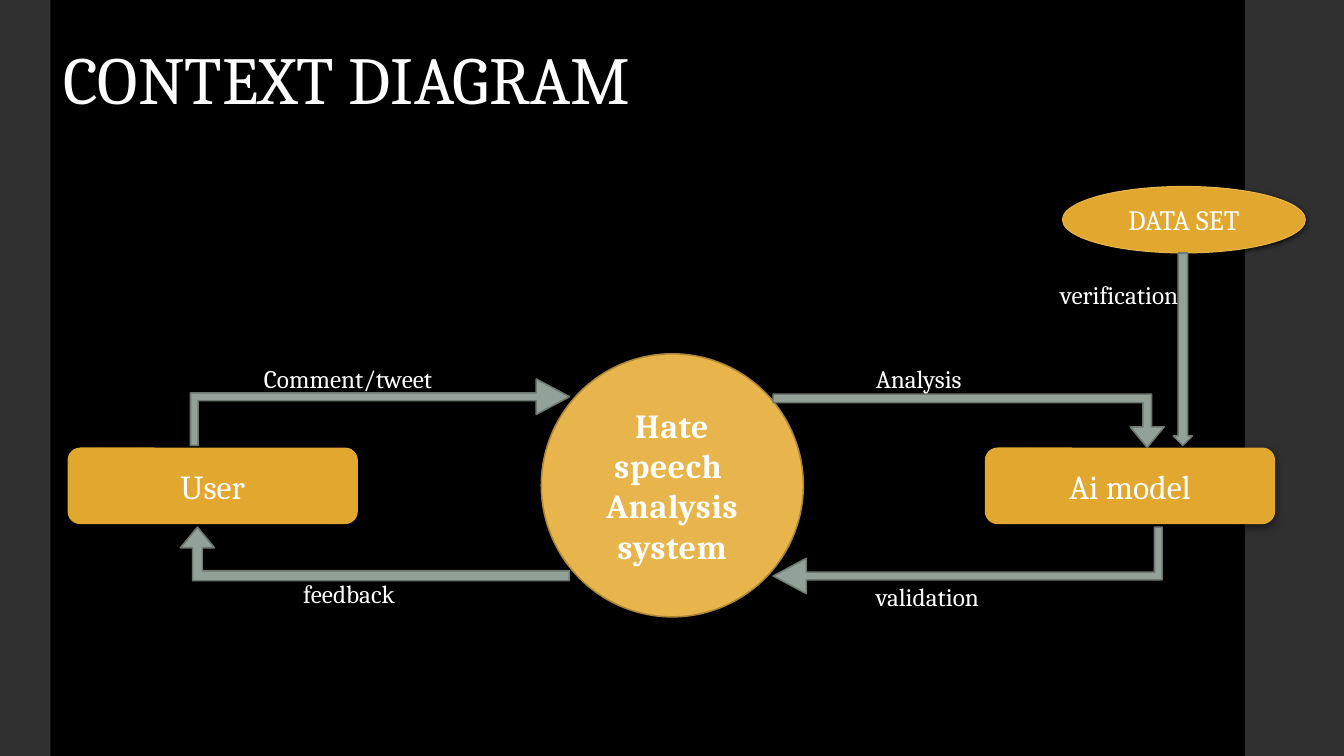
"""Build the context diagram slide of a hate speech analysis system."""
from dataclasses import dataclass

from lxml.etree import SubElement
from pptx import Presentation
from pptx.dml.color import RGBColor
from pptx.enum.shapes import MSO_SHAPE as Shape
from pptx.enum.text import MSO_ANCHOR as Anchor, PP_ALIGN as Align
from pptx.oxml.ns import qn
from pptx.util import Pt

FONT = "Cambria"
COLOURS = {
    "background": "000000", "side": "303030", "white": "FFFFFF",
    "amber": "E1A72F", "light_amber": "E8B54D", "dark_amber": "AC8639",
    "arrow": "93A299", "arrow_line": "6D7871",
}


@dataclass(frozen=True)
class Frame:
    left: float
    top: float
    width: float
    height: float

    def lengths(self) -> tuple:
        return tuple(Pt(v) for v in (self.left, self.top, self.width, self.height))


@dataclass(frozen=True)
class Shadow:
    opacity: int
    blur: float
    distance: float


@dataclass(frozen=True)
class Node:
    kind: Shape
    frame: Frame
    lines: tuple = ()
    fill: str = "amber"
    line: str = ""
    line_width: float = 1.1
    size: int = 24
    bold: bool = False
    spacing: float = 0
    shadow: Shadow | None = None
    adjustments: tuple = ()
    rotation: int = 0
    flip: str = ""


@dataclass(frozen=True)
class Label:
    text: str
    left: float
    top: float
    width: float = 138.96


SOFT = Shadow(55, 6, 2)
BENT = (0.116, 0.267, 0.5, 0)
SIDES = [Node(Shape.RECTANGLE, Frame(left, 0, width, 540), fill="side")
         for left, width in ((889.2, 70.8), (0, 36))]
ENTITIES = [
    Node(Shape.OVAL, Frame(386.64, 252.72, 187.2, 187.92),
         ("Hate speech ", "Analysis system"), "light_amber", "dark_amber",
         bold=True, spacing=0.5),
    *(Node(Shape.ROUNDED_RECTANGLE, Frame(left, 319.68, 207.36, 54.72), (name,),
           shadow=SOFT)
      for name, left in (("User", 48.24), ("Ai model", 703.44))),
]
DATA_SET = Node(Shape.OVAL, Frame(758.88, 133.2, 173.52, 47.52), ("DATA SET",),
                line="light_amber", line_width=0.75, size=20,
                shadow=Shadow(75, 4, 1.2))


def arrow(kind: Shape, frame: Frame, adjustments: tuple = (),
          rotation: int = 0, flip: str = "") -> Node:
    """Describe one block arrow."""
    return Node(kind, frame, fill="arrow", line="arrow_line",
                adjustments=adjustments, rotation=rotation, flip=flip)


FLOWS = [
    arrow(Shape.BENT_ARROW, Frame(136.08, 270.72, 270.72, 47.52), BENT),
    arrow(Shape.BENT_UP_ARROW, Frame(552.24, 281.52, 279.36, 38.16),
          (0.162, 0.319, 0.387), flip="flipV"),
    arrow(Shape.BENT_UP_ARROW, Frame(128.88, 376.56, 277.92, 38.16),
          (0.183, 0.319, 0.387), flip="flipH"),
    arrow(Shape.BENT_ARROW, Frame(552.24, 376.56, 277.92, 47.52), BENT, 180),
]
VERIFICATION = arrow(Shape.RIGHT_ARROW, Frame(776.16, 242.64, 137.52, 13.68),
                     rotation=90)
LABELS = [
    Label("verification", 750.24, 195.84),
    Label("validation", 618.48, 411.84),
    Label("Analysis", 618.48, 256.32),
    Label("feedback", 209.52, 409.68),
    Label("Comment/tweet", 181.44, 256.32, 179.28),
]


def colour(name: str) -> RGBColor:
    """Return a named colour."""
    return RGBColor.from_string(COLOURS[name])


def add_span(para, text: str, size: int, bold: bool = False, spacing: float = 0) -> None:
    """Add one white run to a paragraph."""
    span = para.add_run()
    span.text = text
    span.font.name = FONT
    span.font.size = Pt(size)
    span.font.bold = bold
    span.font.color.rgb = colour("white")
    if spacing:
        span.font.element.set("spc", str(round(spacing * 100))) if hasattr(
            span.font, "element") else para.runs[-1]._r.get_or_add_rPr().set(
            "spc", str(round(spacing * 100)))


def add_shadow(box, shadow: Shadow) -> None:
    """Give a shape a black shadow that falls straight down."""
    effects = box.element.spPr.find(qn("a:effectLst"))
    outer = SubElement(effects, qn("a:outerShdw"), blurRad=str(Pt(shadow.blur)),
                       dist=str(Pt(shadow.distance)), dir="5400000",
                       algn="ctr", rotWithShape="0")
    black = SubElement(outer, qn("a:srgbClr"), val=COLOURS["background"])
    SubElement(black, qn("a:alpha"), val=str(shadow.opacity * 1000))


def add_node(page, node: Node) -> None:
    """Draw one filled shape with its text."""
    box = page.shapes.add_shape(node.kind, *node.frame.lengths())
    box.shadow.inherit = False
    box.fill.solid()
    box.fill.fore_color.rgb = colour(node.fill)
    if node.line:
        box.line.color.rgb = colour(node.line)
        box.line.width = Pt(node.line_width)
    else:
        box.line.fill.background()
    if node.shadow:
        add_shadow(box, node.shadow)
    for index, value in enumerate(node.adjustments):
        box.adjustments[index] = value
    box.rotation = node.rotation
    if node.flip:
        box.element.spPr.get_or_add_xfrm().set(node.flip, "1")
    frame = box.text_frame
    frame.vertical_anchor = Anchor.MIDDLE
    for index, line in enumerate(node.lines):
        para = frame.add_paragraph() if index else frame.paragraphs[0]
        para.alignment = Align.CENTER
        add_span(para, line, node.size, node.bold, node.spacing)


def add_label(page, label: Label) -> None:
    """Write the name of one flow."""
    frame = Frame(label.left, label.top, label.width, 28.8)
    box = page.shapes.add_textbox(*frame.lengths())
    box.text_frame.word_wrap = True
    add_span(box.text_frame.paragraphs[0], label.text, 18)


def add_title(page, text: str) -> None:
    """Fill and place the title."""
    title = page.shapes.title
    title.left, title.top, title.width, title.height = Frame(
        38.16, 23.04, 620.64, 65.52).lengths()
    title.text_frame.vertical_anchor = Anchor.TOP
    para = title.text_frame.paragraphs[0]
    para.alignment = Align.LEFT
    add_span(para, text, 48)


def main() -> None:
    """Build and save the deck."""
    deck = Presentation()
    deck.slide_width, deck.slide_height = Pt(960), Pt(540)
    page = deck.slides.add_slide(deck.slide_layouts[5])
    page.background.fill.solid()
    page.background.fill.fore_color.rgb = colour("background")
    add_title(page, "CONTEXT DIAGRAM")
    for node in (*SIDES, *ENTITIES, *FLOWS, DATA_SET, VERIFICATION):
        add_node(page, node)
    for label in LABELS:
        add_label(page, label)
    deck.save("out.pptx")


if __name__ == "__main__":
    main()
